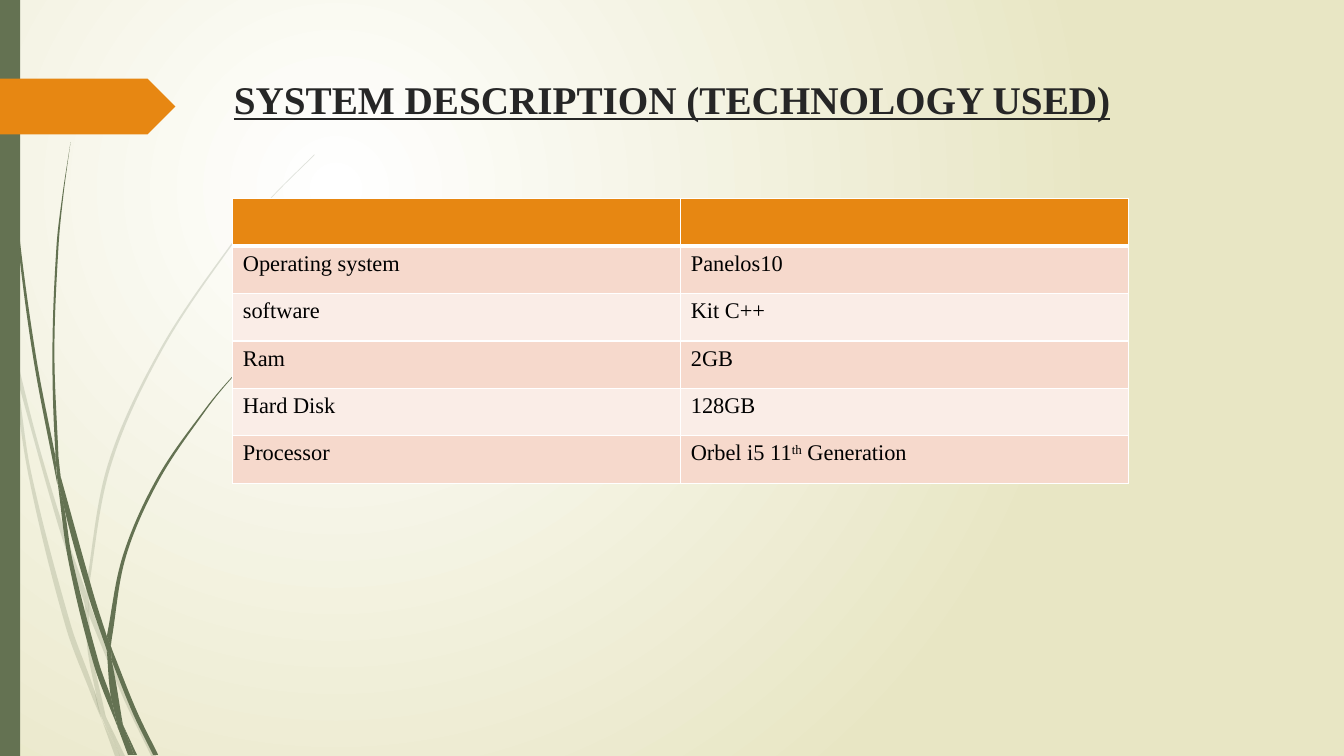
from dataclasses import dataclass
from math import dist
from typing import NamedTuple

from lxml.etree import SubElement
from pptx import Presentation
from pptx.dml.color import RGBColor as Color
from pptx.dml.fill import FillFormat
from pptx.enum.shapes import MSO_SHAPE as Preset
from pptx.enum.text import MSO_ANCHOR as Anchor, PP_ALIGN as Align
from pptx.oxml.ns import qn
from pptx.slide import Slide
from pptx.table import _Cell as Cell
from pptx.util import Pt

Point = tuple[float, float]


@dataclass(frozen=True)
class Theme:
    white: str = "FFFFFF"
    sand: str = "E8E6C4"
    green: str = "647252"
    orange: str = "E78712"
    bands: tuple[str, str] = ("F6D9CC", "FAEDE7")
    title_ink: str = "262626"
    cell_ink: str = "000000"
    font: str = "Times New Roman"
    title_size: float = 28
    cell_size: float = 16
    grid_line: float = 1
    header_line: float = 3


class Blade(NamedTuple):
    """A piece of grass: one smooth edge out, another back, in grid units."""
    out: tuple[Point, ...]
    back: tuple[Point, ...]


class Block(NamedTuple):
    preset: Preset
    top: float
    width: float
    height: float
    color: str


THEME = Theme()
PAGE_WIDTH, PAGE_HEIGHT = 960, 540
GRID = 0.72  # points per grid unit of the grass

FAINT_GRASS = (
    Blade(((11, 350), (9, 322), (0, 282)), ((0, 299), (10, 344), (11, 350))),
    Blade(((14, 345), (36, 433), (62, 520), (85, 586)), ((84, 599), (58, 522), (17, 376))),
    Blade(((88, 596), (92, 607), (127, 692), (155, 750)), ((150, 750), (123, 694), (88, 610))),
    Blade(((105, 711), (124, 750)), ((119, 750),)),
    Blade(((11, 350), (17, 376), (31, 469), (70, 619), (93, 683), (101, 714)),
          ((92, 693), (65, 621), (28, 470), (11, 350))),
    Blade(((84, 599), (88, 610), (91, 646), (105, 711)), ((96, 692), (87, 646), (84, 599))),
    Blade(((312, 153), (268, 197), (228, 244), (158, 348), (107, 461), (85, 584)),
          ((88, 596), (88, 584), (110, 462), (160, 349), (229, 245), (268, 198), (312, 154))),
    Blade(((101, 714), (114, 750)), ((119, 750),)),
    Blade(((85, 586), (88, 596), (88, 610)), ((84, 599),)),
    Blade(((93, 683), (99, 707), (119, 750)), ((105, 711), (96, 692))),
)
FULL_GRASS = (
    Blade(((3, 0), (5, 48), (7, 110), (17, 233), (33, 355), (57, 481)),
          ((55, 453), (36, 355), (19, 232), (8, 109), (4, 0))),
    Blade(((60, 472), (93, 590), (106, 631)), ((106, 645), (88, 592), (64, 505), (60, 472))),
    Blade(((110, 641), (113, 649), (136, 706), (157, 749)), ((152, 749), (132, 708), (111, 656))),
    Blade(((57, 477), (68, 557), (93, 659), (117, 722)),
          ((110, 691), (98, 657), (72, 556), (64, 505), (57, 477))),
    Blade(((70, 141), (62, 193), (56, 245), (52, 349), (55, 449), (60, 472)),
          ((58, 453), (54, 349), (58, 245), (63, 193), (70, 141))),
    Blade(((122, 719), (136, 749)), ((133, 749),)),
    Blade(((55, 449), (60, 472), (64, 505)), ((57, 477), (55, 453))),
    Blade(((260, 344), (231, 373), (204, 405), (156, 474), (122, 551), (106, 631)),
          ((110, 641), (111, 633), (125, 552), (158, 476), (205, 406), (231, 374), (261, 344))),
    Blade(((117, 722), (131, 749)), ((127, 749),)),
    Blade(((106, 645), (111, 656), (122, 719)), ((116, 706), (110, 691), (106, 645))),
    Blade(((106, 631), (110, 641), (111, 656)), ((106, 645),)),
    Blade(((110, 691), (122, 719), (133, 749)), ((130, 749), (117, 722))),
)
BLOCKS = (
    Block(Preset.RECTANGLE, 0, 14.4, PAGE_HEIGHT, THEME.green),
    Block(Preset.PENTAGON, 56.2, 125.3, 39.8, THEME.orange),
)
# Text between carets is raised.
ROWS = (
    ("", ""),
    ("Operating system", "Panelos10"),
    ("software", "Kit C++"),
    ("Ram", "2GB"),
    ("Hard Disk", "128GB"),
    ("Processor", "Orbel i5 11^th^ Generation"),
)


def paint(fill: FillFormat, color: str) -> None:
    fill.solid()
    fill.fore_color.rgb = Color.from_string(color)


def handle(knot: Point, before: Point, after: Point, reach: float) -> Point:
    """Control point at a third of the reach, parallel to before-after."""
    share = reach / 3 / dist(before, after)
    return tuple(k + (a - b) * share for k, b, a in zip(knot, before, after))


def curve_parts(edge: tuple[Point, ...]) -> list[tuple[Point, Point, Point]]:
    """Bezier control points and end of each part of a smooth edge."""
    padded = (edge[0], *edge, edge[-1])
    return [(handle(b, a, c, dist(b, c)), handle(c, d, b, dist(b, c)), c)
            for a, b, c, d in zip(padded, padded[1:], padded[2:], padded[3:])]


def paint_background(page: Slide) -> None:
    """Fill the page with a round gradient centred in its upper left quarter."""
    fill = page.background.fill
    fill.gradient()
    for stop, color, position in zip(fill.gradient_stops, (THEME.white, THEME.sand), (0, 1)):
        stop.color.rgb = Color.from_string(color)
        stop.position = position
    gradient = page.element.find(".//" + qn("a:gradFill"))
    gradient.remove(gradient.find(qn("a:lin")))
    circle = SubElement(gradient, qn("a:path"), path="circle")
    SubElement(circle, qn("a:fillToRect"), l="50000", t="50000", r="100000", b="100000")


def draw_blade(page: Slide, blade: Blade, opacity: int) -> None:
    corners = [(Pt(x * GRID), Pt(y * GRID)) for x, y in blade.out + blade.back]
    builder = page.shapes.build_freeform(*corners[0])
    builder.add_line_segments(corners[1:], close=True)
    shape = builder.convert_to_shape()
    shape.shadow.inherit = False
    shape.line.fill.background()
    paint(shape.fill, THEME.green)
    if opacity < 100:
        color = shape.element.spPr.find(".//" + qn("a:srgbClr"))
        SubElement(color, qn("a:alpha"), val=str(opacity * 1000))
    lines = list(shape.element.iter(qn("a:lnTo")))
    parts = [*curve_parts(blade.out), None, *curve_parts(blade.back)]
    for line, part in zip(lines, parts):
        if part:
            line.clear()
            line.tag = qn("a:cubicBezTo")
            for x, y in part:
                SubElement(line, qn("a:pt"), x=str(Pt(x * GRID) - shape.left),
                           y=str(Pt(y * GRID) - shape.top))


def draw_block(page: Slide, block: Block) -> None:
    shape = page.shapes.add_shape(
        block.preset, 0, Pt(block.top), Pt(block.width), Pt(block.height))
    shape.shadow.inherit = False
    shape.line.fill.background()
    paint(shape.fill, block.color)


def write_title(page: Slide, text: str) -> None:
    title = page.shapes.title
    title.left, title.top, title.width, title.height = Pt(129), Pt(50.4), Pt(702), Pt(100.8)
    frame = title.text_frame
    frame.text = text
    frame.word_wrap = True
    frame.vertical_anchor = Anchor.TOP
    para = frame.paragraphs[0]
    para.alignment = Align.CENTER
    font = para.runs[0].font
    font.name, font.size = THEME.font, Pt(THEME.title_size)
    font.bold = font.underline = True
    font.color.rgb = Color.from_string(THEME.title_ink)


def set_borders(cell: Cell, top: float, bottom: float) -> None:
    side = THEME.grid_line
    for tag, width in (("lnL", side), ("lnR", side), ("lnT", top), ("lnB", bottom)):
        line = SubElement(cell._tc.get_or_add_tcPr(), qn(f"a:{tag}"), w=str(Pt(width)))
        SubElement(SubElement(line, qn("a:solidFill")), qn("a:srgbClr"), val=THEME.white)


def write_cell(cell: Cell, text: str) -> None:
    for index, piece in enumerate(text.split("^")):
        span = cell.text_frame.paragraphs[0].add_run()
        span.text = piece
        span.font.name, span.font.size = THEME.font, Pt(THEME.cell_size)
        span.font.color.rgb = Color.from_string(THEME.cell_ink)
        if index % 2:
            span._r.get_or_add_rPr().set("baseline", "30000")


def draw_table(page: Slide) -> None:
    table = page.shapes.add_table(
        len(ROWS), 2, Pt(166.3), Pt(142), Pt(640), Pt(203.4)).table
    for row, texts in enumerate(ROWS):
        top = THEME.header_line if row == 1 else THEME.grid_line
        bottom = THEME.header_line if row == 0 else THEME.grid_line
        for column, text in enumerate(texts):
            cell = table.cell(row, column)
            set_borders(cell, top, bottom)
            paint(cell.fill, THEME.bands[(row - 1) % 2] if row else THEME.orange)
            if text:
                write_cell(cell, text)


def main() -> None:
    deck = Presentation()
    deck.slide_width, deck.slide_height = Pt(PAGE_WIDTH), Pt(PAGE_HEIGHT)
    page = deck.slides.add_slide(deck.slide_layouts.get_by_name("Title Only"))
    paint_background(page)
    for grass, opacity in ((FAINT_GRASS, 20), (FULL_GRASS, 100)):
        for blade in grass:
            draw_blade(page, blade, opacity)
    for block in BLOCKS:
        draw_block(page, block)
    write_title(page, "SYSTEM DESCRIPTION (TECHNOLOGY USED)")
    draw_table(page)
    deck.save("out.pptx")


if __name__ == "__main__":
    main()
